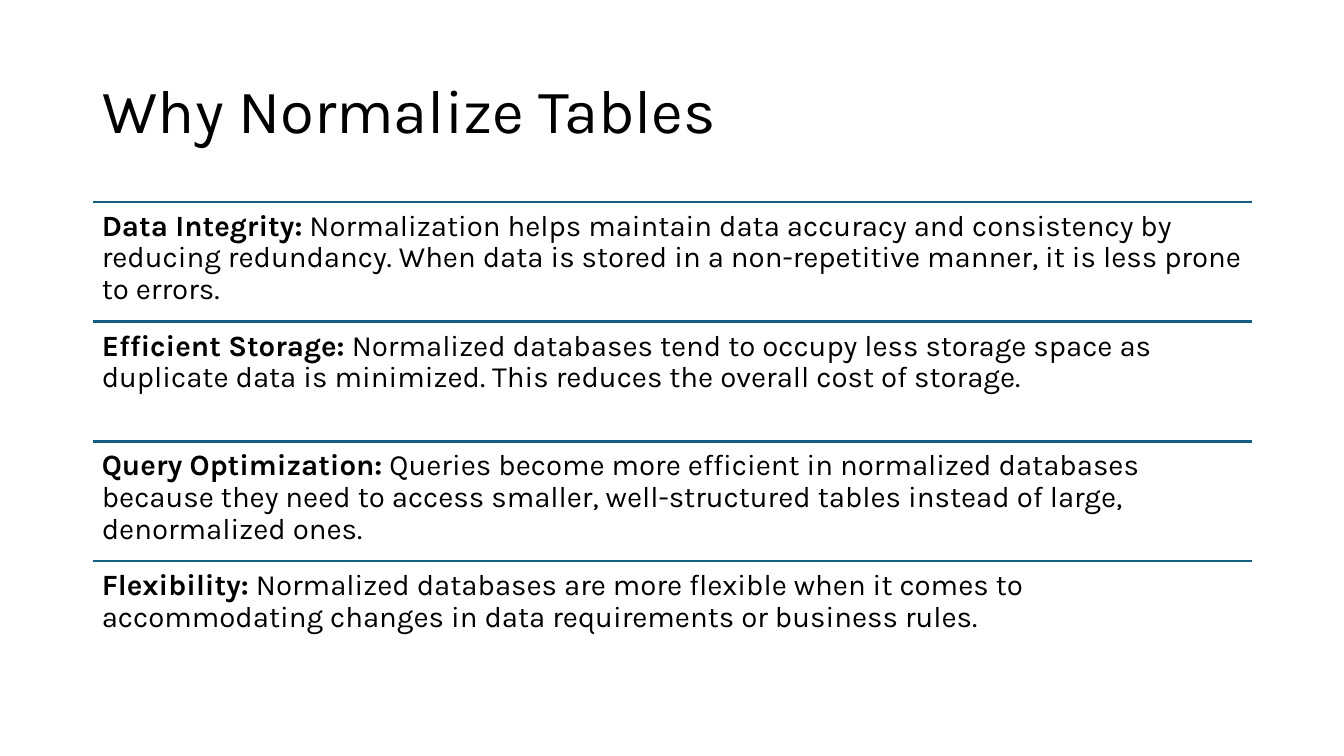
from lxml import etree
from pptx import Presentation
from pptx.dml.color import RGBColor
from pptx.enum.shapes import MSO_CONNECTOR
from pptx.enum.text import MSO_ANCHOR, PP_ALIGN
from pptx.oxml.ns import qn
from pptx.util import Inches, Pt

STRAIGHT = MSO_CONNECTOR.STRAIGHT
TOP, MIDDLE = MSO_ANCHOR.TOP, MSO_ANCHOR.MIDDLE
LEFT = PP_ALIGN.LEFT

COLORS = {"text": "000000", "rule": "156082", "background": "FFFFFF"}
FONT = "Karla"

# Grid: one column, equal rows
COL_X, COL_W = Inches(0.92), Inches(11.5)
ROW_Y, ROW_H = Inches(2), Inches(1.19)
INSET = Inches(0.09)

REASONS = [
    ("Data Integrity:",
     " Normalization helps maintain data accuracy and consistency by reducing "
     "redundancy. When data is stored in a non-repetitive manner, it is less "
     "prone to errors."),
    ("Efficient Storage:",
     " Normalized databases tend to occupy less storage space as duplicate data "
     "is minimized. This reduces the overall cost of storage."),
    ("Query Optimization:",
     " Queries become more efficient in normalized databases because they need "
     "to access smaller, well-structured tables instead of large, denormalized "
     "ones."),
    ("Flexibility:",
     " Normalized databases are more flexible when it comes to accommodating "
     "changes in data requirements or business rules."),
]


def set_all(obj, **values):
    for name, value in values.items():
        setattr(obj, name, value)


def add_text(p, text, size, bold=False):
    r = p.add_run()
    r.text = text
    set_all(r.font, name=FONT, size=Pt(size), bold=bold)
    r.font.color.rgb = RGBColor.from_string(COLORS["text"])


prs = Presentation()
prs.slide_width, prs.slide_height = Inches(13.33), Inches(7.5)
s = prs.slides.add_slide(prs.slide_layouts[5])
s.background.fill.solid()
s.background.fill.fore_color.rgb = RGBColor.from_string(COLORS["background"])

# Title
title = s.shapes.title
set_all(title, left=COL_X, top=Inches(0.4), width=COL_W, height=Inches(1.45))
set_all(title.text_frame, vertical_anchor=MIDDLE, word_wrap=True)
p = title.text_frame.paragraphs[0]
set_all(p, alignment=LEFT, line_spacing=0.9)
add_text(p, "Why Normalize Tables", 44)

# Reasons, each under a rule
for row, (name, reason) in enumerate(REASONS):
    y = ROW_Y + row * ROW_H

    rule = s.shapes.add_connector(STRAIGHT, COL_X, y, COL_X + COL_W, y)
    rule.line.color.rgb = RGBColor.from_string(COLORS["rule"])
    rule.line.width = Pt(1.5)
    etree.SubElement(rule._element.spPr, qn("a:effectLst"))

    tf = s.shapes.add_textbox(COL_X, y, COL_W, ROW_H).text_frame
    set_all(tf, word_wrap=True, vertical_anchor=TOP, margin_left=INSET,
            margin_right=INSET, margin_top=INSET, margin_bottom=INSET)
    p = tf.paragraphs[0]
    set_all(p, alignment=LEFT, line_spacing=0.9)
    add_text(p, name, 21, bold=True)
    add_text(p, reason, 21)

prs.save("out.pptx")
